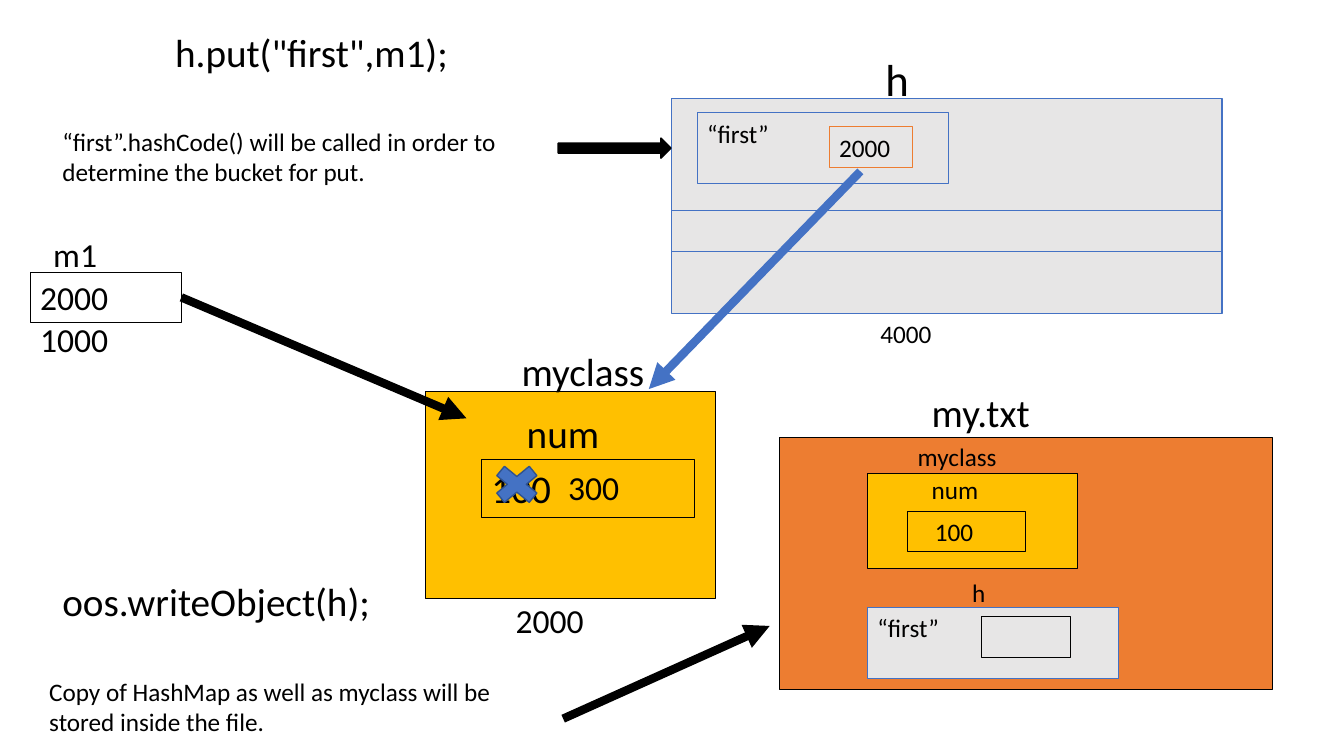
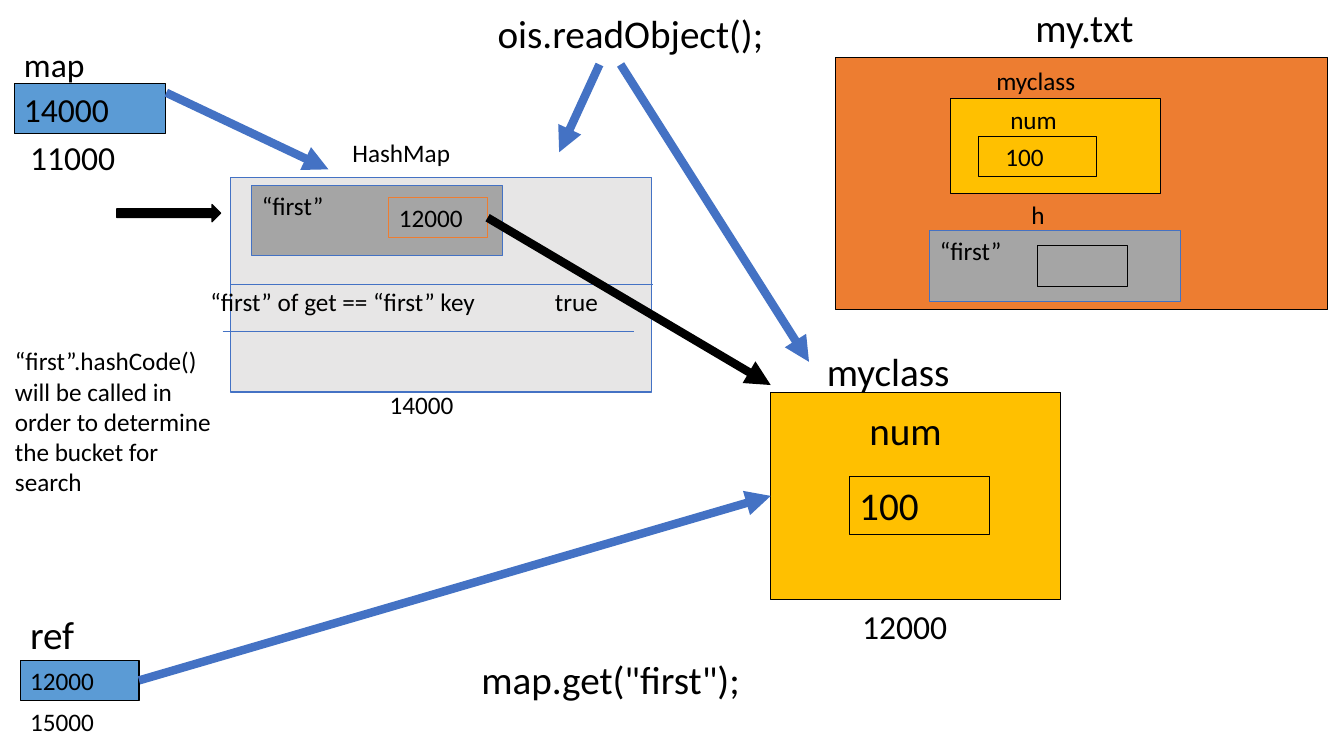
from lxml import etree
from pptx import Presentation
from pptx.dml.color import RGBColor
from pptx.enum.shapes import MSO_CONNECTOR, MSO_SHAPE
from pptx.enum.text import MSO_ANCHOR, PP_ALIGN
from pptx.oxml.ns import qn
from pptx.util import Inches, Pt

RECT, RIGHT_ARROW, CROSS = MSO_SHAPE.RECTANGLE, MSO_SHAPE.RIGHT_ARROW, MSO_SHAPE.MATH_MULTIPLY
STRAIGHT = MSO_CONNECTOR.STRAIGHT
TOP, LEFT = MSO_ANCHOR.TOP, PP_ALIGN.LEFT
LEFT_SIDE, RIGHT_SIDE = 1, 3

BLACK = RGBColor(0x00, 0x00, 0x00)
BLUE = RGBColor(0x44, 0x72, 0xC4)
DARK_BLUE = RGBColor(0x2F, 0x52, 0x8F)
LIGHT_BLUE = RGBColor(0x5B, 0x9B, 0xD5)
ORANGE = RGBColor(0xED, 0x7D, 0x31)
GOLD = RGBColor(0xFF, 0xC0, 0x00)
LIGHT_GRAY = RGBColor(0xE7, 0xE6, 0xE6)
GRAY = RGBColor(0xA5, 0xA5, 0xA5)

# Text sizes in points
SMALL, MEDIUM, LARGE, HUGE = 18, 24, 28, 32

# Sizes of the boxes both slides use
ENTRY_SIZE = (2.49, 0.7)
OBJECT_SIZE = (2.88, 2.06)
FILE_SIZE = (4.89, 2.5)
SAVED_OBJECT_SIZE = (2.09, 0.94)
SAVED_FIELD_SIZE = (1.17, 0.4)
SLOT_SIZE = (0.89, 0.4)


def write(sp, text, size, indent=0.0, tab=None):
    tf = sp.text_frame
    frame_format = {
        "word_wrap": True, "vertical_anchor": TOP,
        "margin_left": Inches(0.1 + indent), "margin_right": Inches(0.1),
        "margin_top": Inches(0.05), "margin_bottom": Inches(0.05),
    }
    for name, value in frame_format.items():
        setattr(tf, name, value)
    p = tf.paragraphs[0]
    p.alignment = LEFT
    if tab:
        tabs = etree.SubElement(p._p.get_or_add_pPr(), qn("a:tabLst"))
        etree.SubElement(tabs, qn("a:tab"), pos=str(Inches(tab)), algn="l")
    r = p.add_run()
    r.text = text
    for name, value in {"name": "Calibri", "size": Pt(size)}.items():
        setattr(r.font, name, value)
    r.font.color.rgb = BLACK


def add_label(s, text, left, top, width, size=SMALL, lines=1, tab=None):
    height = lines * size * 1.2 / 72 + 0.1
    tb = s.shapes.add_textbox(*map(Inches, (left, top, width, height)))
    write(tb, text, size, tab=tab)


def add_box(s, at, box_size, fill=None, line=BLACK, text=None, size=SMALL,
            indent=0.0, kind=RECT, weight=0.75):
    sp = s.shapes.add_shape(kind, *map(Inches, (*at, *box_size)))
    sp.shadow.inherit = False
    if fill is None:
        sp.fill.background()
    else:
        sp.fill.solid()
        sp.fill.fore_color.rgb = fill
    sp.line.color.rgb = line
    sp.line.width = Pt(weight)
    if text:
        write(sp, text, size, indent)
    return sp


def add_line(s, start, end, color=BLUE, weight=0.5):
    line = s.shapes.add_connector(STRAIGHT, *map(Inches, (*start, *end)))
    line.line.color.rgb = color
    line.line.width = Pt(weight)
    etree.SubElement(line._element.spPr, qn("a:effectLst"))
    return line


def add_arrow(s, start, end, color=BLUE, source=None, target=None):
    arrow = add_line(s, start, end, color, 6)
    etree.SubElement(arrow.line._get_or_add_ln(), qn("a:tailEnd"), type="triangle")
    if source is not None:
        arrow.begin_connect(source, RIGHT_SIDE)
    if target is not None:
        arrow.end_connect(target, LEFT_SIDE)


def add_object(s, at, title_at, num_at, field_at, field_width):
    """A myclass object in memory with its num field."""
    box = add_box(s, at, OBJECT_SIZE, GOLD)
    add_label(s, "myclass", *title_at, 1.76, LARGE)
    add_box(s, field_at, (field_width, 0.57), text="100", size=LARGE)
    add_label(s, "num", *num_at, 1.39, LARGE)
    return box


def add_file(s, at, title_at, object_at, class_at, num_at, field_at,
             entry_at, entry_fill, map_at, slot_at):
    """The file my.txt with the saved object and the saved map."""
    add_box(s, at, FILE_SIZE, ORANGE)
    add_label(s, "my.txt", *title_at, 1.94, LARGE)
    add_box(s, object_at, SAVED_OBJECT_SIZE, GOLD)
    add_box(s, field_at, SAVED_FIELD_SIZE, text="100", indent=0.17)
    add_label(s, "num", *num_at, 0.74)
    add_label(s, "myclass", *class_at, 1.02)
    add_box(s, entry_at, ENTRY_SIZE, entry_fill, BLUE, "“first”")
    add_label(s, "h", *map_at, 0.53)
    add_box(s, slot_at, SLOT_SIZE)


def build_write_slide(s):
    # Hash map with its buckets
    add_box(s, (6.67, 0.98), (5.46, 2.13), LIGHT_GRAY, BLUE)
    for y in (2.09, 2.49):
        add_line(s, (6.67, y), (12.13, y))
    add_box(s, (6.92, 1.12), ENTRY_SIZE, line=BLUE, text="“first”")
    add_box(s, (8.23, 1.26), (0.83, 0.4), line=ORANGE, text="2000")
    add_label(s, "h", 8.69, 0.46, 0.8, HUGE)
    add_label(s, "4000", 8.64, 3.11, 1.68)

    # Reference m1 and the object it points to
    add_label(s, "m1", 0.43, 2.27, 0.7, MEDIUM)
    m1 = add_box(s, (0.3, 2.7), (1.5, 0.5), text="2000", size=MEDIUM)
    add_label(s, "1000", 0.3, 3.11, 1.4, MEDIUM)
    add_object(s, (4.22, 3.88), (5.08, 3.4), (5.13, 4.01), (4.78, 4.56), 2.11)
    add_label(s, "2000", 5.02, 5.9, 0.99, MEDIUM)
    add_box(s, (4.82, 4.55), (0.62, 0.51), BLUE, DARK_BLUE, kind=CROSS, weight=1)
    add_label(s, "300", 5.54, 4.58, 0.97, MEDIUM)
    add_arrow(s, (1.8, 2.95), (4.63, 4.15), BLACK, source=m1)
    add_arrow(s, (8.54, 1.7), (6.44, 3.86))

    # Calls and explanations
    add_label(s, 'h.put("first",m1);', 1.64, 0.23, 3.44, LARGE)
    add_label(s, "“first”.hashCode() will be called in order to determine "
                 "the bucket for put.", 0.52, 1.2, 4.82, lines=2)
    add_box(s, (5.54, 1.37), (1.12, 0.2), BLACK, kind=RIGHT_ARROW, weight=1)
    add_label(s, "oos.writeObject(h);", 0.52, 5.68, 3.59, LARGE)
    add_label(s, "Copy of HashMap as well as myclass will be stored inside "
                 "the file.", 0.39, 6.66, 5.05, lines=2)

    # File
    add_file(s, at=(7.74, 4.34), title_at=(9.15, 3.8), object_at=(8.61, 4.7),
             class_at=(9.01, 4.33), num_at=(9.15, 4.66), field_at=(9.01, 5.07),
             entry_at=(8.61, 6.03), entry_fill=LIGHT_GRAY,
             map_at=(9.55, 5.68), slot_at=(9.74, 6.12))
    add_arrow(s, (5.59, 7.13), (7.64, 6.21), BLACK)


def build_read_slide(s):
    # Restored hash map
    add_box(s, (2.29, 1.76), (4.18, 2.13), LIGHT_GRAY, BLUE)
    add_box(s, (2.5, 1.84), ENTRY_SIZE, GRAY, BLUE, "“first”")
    value = add_box(s, (3.86, 1.96), (0.98, 0.4), line=ORANGE, text="12000")
    add_label(s, "HashMap", 3.4, 1.31, 1.26)
    add_label(s, "14000", 3.77, 3.81, 1.68)
    add_line(s, (2.29, 2.82), (6.48, 2.82))
    add_line(s, (2.21, 3.29), (6.29, 3.29))
    add_label(s, "“first” of get == “first” key\ttrue", 1.99, 2.79, 4.62, tab=3.42)

    # Restored object
    restored = add_object(s, (7.65, 3.89), (8.11, 3.4), (8.53, 3.98), (8.43, 4.73), 1.39)
    add_label(s, "12000", 8.46, 5.96, 1.41, MEDIUM)

    # References map and ref
    add_label(s, "map", 0.14, 0.39, 1.14, MEDIUM)
    add_box(s, (0.14, 0.83), (1.5, 0.5), LIGHT_BLUE, text="14000", size=MEDIUM)
    add_label(s, "11000", 0.2, 1.31, 1.4, MEDIUM)
    add_label(s, "ref", 0.2, 6.01, 1, LARGE)
    ref = add_box(s, (0.2, 6.55), (1.18, 0.4), LIGHT_BLUE, text="12000")
    add_label(s, "15000", 0.2, 6.96, 1.21)

    # File
    add_file(s, at=(8.29, 0.57), title_at=(10.18, -0.02), object_at=(9.43, 0.98),
             class_at=(9.79, 0.6), num_at=(9.93, 0.99), field_at=(9.71, 1.35),
             entry_at=(9.23, 2.29), entry_fill=GRAY,
             map_at=(10.14, 1.93), slot_at=(10.3, 2.44))

    # Calls and explanation
    add_label(s, "ois.readObject();", 4.84, 0.04, 2.92, LARGE)
    add_label(s, 'map.get("first");', 4.68, 6.45, 3.2, LARGE)
    add_label(s, "“first”.hashCode() will be called in order to determine "
                 "the bucket for search", 0.05, 3.38, 2.22, lines=5)
    add_box(s, (1.16, 2.03), (1.03, 0.17), BLACK, kind=RIGHT_ARROW, weight=1)

    # Arrows
    add_arrow(s, (1.65, 0.92), (3.26, 1.68))
    add_arrow(s, (1.38, 6.75), (7.65, 4.92), source=ref, target=restored)
    add_arrow(s, (5.95, 0.64), (5.55, 1.51))
    add_arrow(s, (6.16, 0.64), (8.03, 3.59))
    add_arrow(s, (4.84, 2.16), (7.65, 3.82), BLACK, source=value)


def main():
    prs = Presentation()
    prs.slide_width, prs.slide_height = Inches(13.34), Inches(7.5)
    for build in (build_write_slide, build_read_slide):
        build(prs.slides.add_slide(prs.slide_layouts[6]))
    prs.save("out.pptx")


if __name__ == "__main__":
    main()
